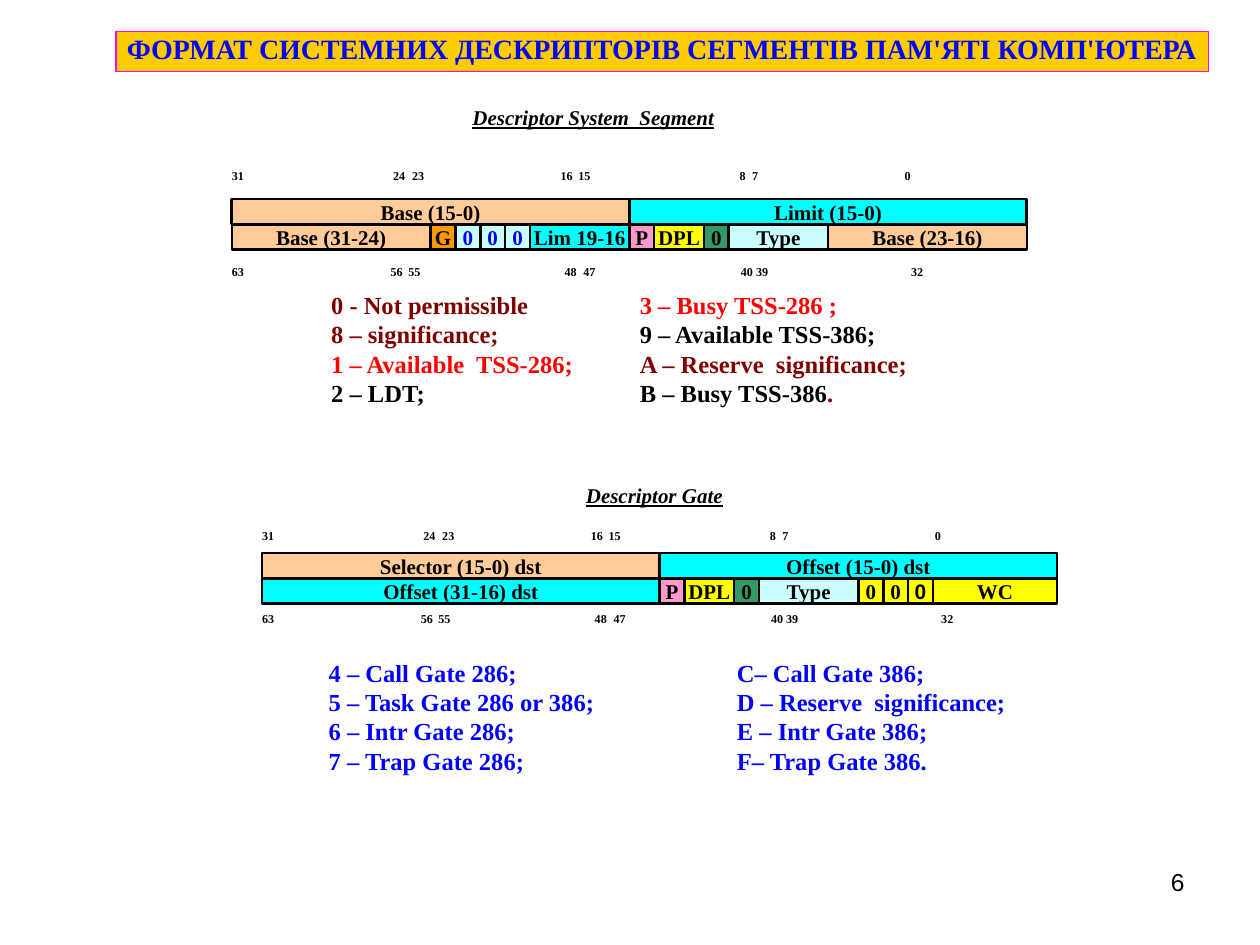
import pptx
import pptx.dml.color
import pptx.enum.shapes
import pptx.enum.text
import pptx.oxml.ns
import pptx.util
from lxml import etree
from pptx.util import Inches

RGBColor = pptx.dml.color.RGBColor
PP_ALIGN = pptx.enum.text.PP_ALIGN
BLACK = RGBColor(0, 0, 0)
WHITE = RGBColor(0xFF, 0xFF, 0xFF)
BLUE = RGBColor(0, 0, 0xFF)
RED = RGBColor(0xFF, 0, 0)
MAROON = RGBColor(0x80, 0, 0)
MAGENTA = RGBColor(0xFF, 0, 0xFF)
GOLD = RGBColor(0xFF, 0xCC, 0)
PEACH = RGBColor(0xFF, 0xCC, 0x99)
ORANGE = RGBColor(0xFF, 0x99, 0)
CYAN = RGBColor(0, 0xFF, 0xFF)
PALE = RGBColor(0xCC, 0xFF, 0xFF)
PINK = RGBColor(0xFF, 0x99, 0xCC)
YELLOW = RGBColor(0xFF, 0xFF, 0)
GREEN = RGBColor(0x33, 0x99, 0x66)

SERIF = "Times New Roman"
SANS = "Arial"
REGISTER_WIDTH = 6.31
BIT_WIDTH = REGISTER_WIDTH / 32
ROW_HEIGHT = 0.2
HIGH_BITS = "31\t24\t23\t16\t15\t8\t7\t0"
HIGH_TABS = (1.28, 1.43, 2.61, 2.75, 4.03, 4.13, 5.34)
LOW_BITS = "63\t56\t55\t48\t47\t40\t39\t32"
LOW_TABS = (1.26, 1.40, 2.64, 2.79, 4.04, 4.16, 5.39)

SEGMENT_ROWS = [
    [("Base (15-0)", 16, PEACH), ("Limit (15-0)", 16, CYAN)],
    [("Base (31-24)", 8, PEACH), ("G", 1, ORANGE)]
    + [("0", 1, PALE, BLUE)] * 3
    + [("Lim 19-16", 4, CYAN), ("P", 1, PINK), ("DPL", 2, YELLOW),
       ("0", 1, GREEN), ("Type", 4, PALE), ("Base (23-16)", 8, PEACH)],
]
GATE_ROWS = [
    [("Selector (15-0) dst", 16, PEACH), ("Offset (15-0) dst", 16, CYAN)],
    [("Offset (31-16) dst", 16, CYAN), ("P", 1, PINK), ("DPL", 2, YELLOW),
     ("0", 1, GREEN), ("Type", 4, PALE), ("0", 1, YELLOW), ("0", 1, YELLOW),
     ("0", 1, YELLOW, BLACK, SANS), ("WC", 5, YELLOW)],
]
SEGMENT_TYPES = [
    [("0 - Not permissible\t", MAROON), ("3 – Busy TSS-286 ;", RED)],
    [("8 – significance;\t", MAROON), ("9 – Available TSS-386;", BLACK)],
    [("1 – Available  TSS-286;\t", RED), ("A – Reserve  significance;", MAROON)],
    [("2 – LDT;\tB – Busy TSS-386", BLACK), (".", MAROON)],
]
GATE_TYPES_286 = ["4 – Call Gate 286;", "5 – Task Gate 286 or 386;",
                  "6 – Intr Gate 286;", "7 – Trap Gate 286;"]
GATE_TYPES_386 = ["C– Call Gate 386;", "D – Reserve  significance;",
                  "E – Intr Gate 386;", "F– Trap Gate 386."]


def set_margins(tf, horizontal, vertical):
    tf.margin_left = tf.margin_right = Inches(horizontal)
    tf.margin_top = tf.margin_bottom = Inches(vertical)


def add_box(s, left, top, width, height, fill=WHITE, line=None, line_width=1.5):
    sp = s.shapes.add_shape(pptx.enum.shapes.MSO_SHAPE.RECTANGLE,
                            Inches(left), Inches(top), Inches(width), Inches(height))
    sp.shadow.inherit = False
    sp.fill.solid()
    sp.fill.fore_color.rgb = fill
    if line is None:
        sp.line.fill.background()
    else:
        sp.line.color.rgb = line
        sp.line.width = pptx.util.Pt(line_width)
    tf = sp.text_frame
    tf.word_wrap = True
    tf.vertical_anchor = pptx.enum.text.MSO_ANCHOR.TOP
    set_margins(tf, 0, 0)
    return tf


def add_tabs(p, stops):
    tabs = etree.SubElement(p._p.get_or_add_pPr(), pptx.oxml.ns.qn("a:tabLst"))
    for stop in stops:
        etree.SubElement(tabs, pptx.oxml.ns.qn("a:tab"), pos=str(Inches(stop)), algn="l")


def write_runs(p, runs, size=12, font=SERIF, align=PP_ALIGN.LEFT, tabs=()):
    if tabs:
        add_tabs(p, tabs)
    p.alignment = align
    p.line_spacing = pptx.util.Pt(size * 1.2)
    for text, color in runs:
        r = p.add_run()
        r.text = text
        r.font.size = pptx.util.Pt(size)
        r.font.name = font
        r.font.bold = True
        r.font.color.rgb = color


def add_heading(s, text, left, top, width):
    p = add_box(s, left, top, width, ROW_HEIGHT).paragraphs[0]
    write_runs(p, [(text, BLACK)])
    p.runs[0].font.italic = True
    p.runs[0].font.underline = True


def add_bit_numbers(s, text, tabs, left, top):
    p = add_box(s, left, top, REGISTER_WIDTH, ROW_HEIGHT).paragraphs[0]
    write_runs(p, [(text, BLACK)], tabs=tabs)
    for r in p.runs:
        r.font._element.set("baseline", "30000")


def add_field(s, left, top, text, bits, fill, color=BLACK, font=SERIF):
    tf = add_box(s, left, top, bits * BIT_WIDTH, ROW_HEIGHT, fill, BLACK)
    write_runs(tf.paragraphs[0], [(text, color)], font=font, align=PP_ALIGN.CENTER)


def add_register(s, rows, left, top):
    for i, row in enumerate(rows):
        bit = 0
        for field in row:
            add_field(s, left + bit * BIT_WIDTH, top + i * ROW_HEIGHT, *field)
            bit += field[1]


def add_type_list(s, lines, left, top, width, height, tabs=()):
    tf = add_box(s, left, top, width, height)
    set_margins(tf, 0.1, 0.05)
    for i, runs in enumerate(lines):
        p = tf.add_paragraph() if i else tf.paragraphs[0]
        write_runs(p, runs, size=14, tabs=tabs)


def add_title(s, text):
    tf = add_box(s, 0.92, 0.25, 8.67, 0.32, GOLD, MAGENTA, 0.75)
    write_runs(tf.paragraphs[0], [(text, BLUE)], size=16, align=PP_ALIGN.CENTER)


def add_page_number(s, text):
    tf = s.shapes.add_textbox(Inches(7.17), Inches(6.83), Inches(2.33), Inches(0.52)).text_frame
    tf.word_wrap = True
    tf.text = text
    p = tf.paragraphs[0]
    p.alignment = PP_ALIGN.RIGHT
    r = p.runs[0]
    r.font.size = pptx.util.Pt(14)
    r.font.name = SANS
    r.font.color.rgb = BLACK


def main():
    prs = pptx.Presentation()
    prs.slide_width, prs.slide_height = Inches(10), Inches(7.5)
    s = prs.slides.add_slide(prs.slide_layouts[6])

    add_title(s, "ФОРМАТ СИСТЕМНИХ ДЕСКРИПТОРІВ СЕГМЕНТІВ ПАМ'ЯТІ КОМП'ЮТЕРА")

    add_heading(s, "Descriptor System  Segment", 3.75, 0.83, 2.04)
    add_bit_numbers(s, HIGH_BITS, HIGH_TABS, 1.84, 1.32)
    add_register(s, SEGMENT_ROWS, 1.84, 1.58)
    add_type_list(s, SEGMENT_TYPES, 2.53, 2.25, 4.93, 0.95, tabs=(2.45,))
    add_bit_numbers(s, LOW_BITS, LOW_TABS, 1.84, 2.08)

    add_heading(s, "Descriptor Gate", 4.65, 3.83, 1.18)
    add_bit_numbers(s, HIGH_BITS, HIGH_TABS, 2.08, 4.17)
    add_bit_numbers(s, LOW_BITS, LOW_TABS, 2.08, 4.83)
    add_register(s, GATE_ROWS, 2.08, 4.39)
    for lines, left, height in ((GATE_TYPES_286, 2.51, 1), (GATE_TYPES_386, 5.75, 1.15)):
        add_type_list(s, [[(line, BLUE)] for line in lines], left, 5.17, 2.49, height)

    add_page_number(s, "6")
    prs.save("out.pptx")


if __name__ == "__main__":
    main()
